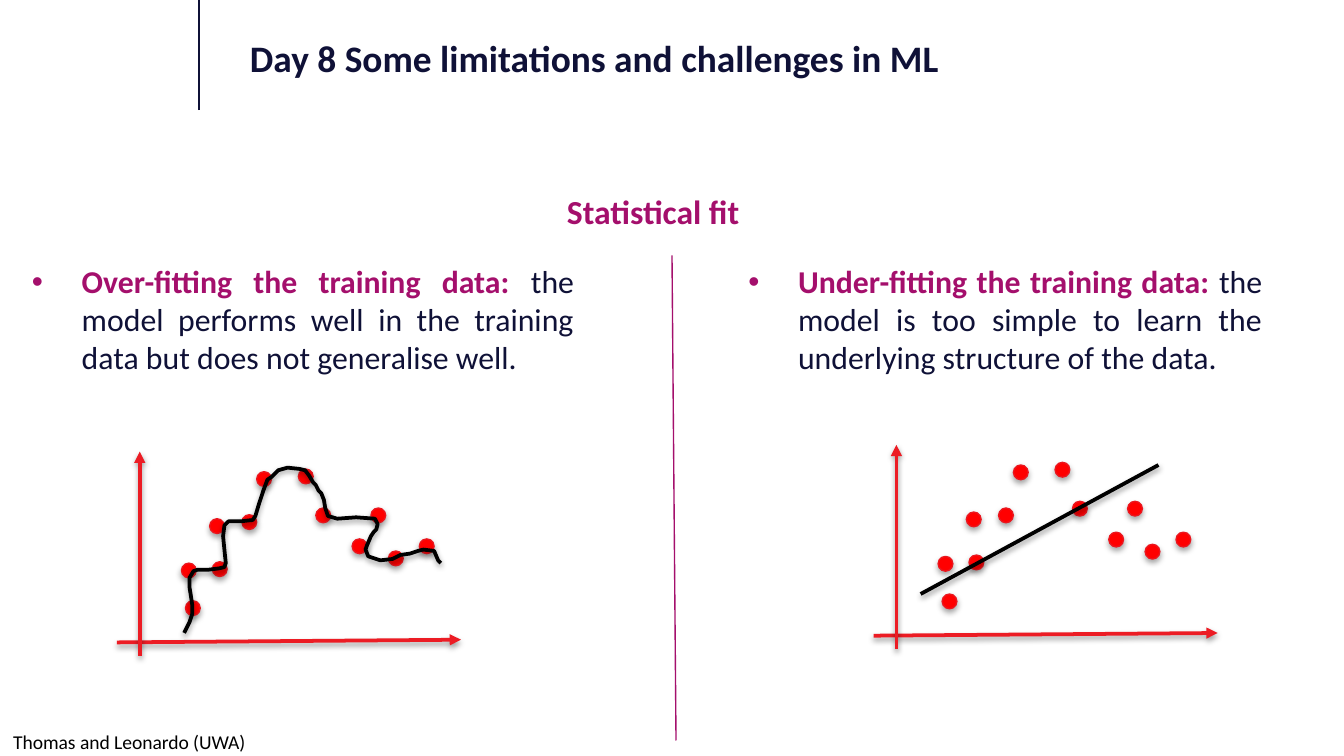
import dataclasses

import lxml.etree
import pptx
import pptx.dml.color
import pptx.enum.shapes
import pptx.enum.text
import pptx.oxml
import pptx.oxml.ns
import pptx.util

PX = 9144  # EMU in one px, at 100 px to the inch


@dataclasses.dataclass(frozen=True)
class Theme:
    font: str = "Calibri"
    navy: str = "0F1137"
    plum: str = "A40F6C"
    black: str = "000000"
    axis: str = "EC1C24"
    dot: str = "FF0000"
    dot_edge: str = "EB161E"
    title_size: float = 20
    heading_size: float = 18
    body_size: float = 17
    footer_size: float = 10.5


theme = Theme()


def write_text(shape, text, size, color, bold=False, lead="", bullet=False):
    """Fill the shape with one paragraph; lead is a bold plum opening."""
    frame = shape.text_frame
    frame.word_wrap = True
    frame.auto_size = pptx.enum.text.MSO_AUTO_SIZE.NONE
    frame.vertical_anchor = pptx.enum.text.MSO_ANCHOR.TOP
    paragraph = frame.paragraphs[0]
    paragraph.alignment = pptx.enum.text.PP_ALIGN.LEFT
    if bullet:
        paragraph.alignment = pptx.enum.text.PP_ALIGN.JUSTIFY
        properties = paragraph._p.get_or_add_pPr()
        properties.set("marL", str(38 * PX))
        properties.set("indent", str(-37 * PX))
        bullet_color = lxml.etree.SubElement(properties, pptx.oxml.ns.qn("a:buClr"))
        lxml.etree.SubElement(bullet_color, pptx.oxml.ns.qn("a:srgbClr"), val=theme.plum)
        lxml.etree.SubElement(properties, pptx.oxml.ns.qn("a:buFont"), typeface="Arial")
        lxml.etree.SubElement(properties, pptx.oxml.ns.qn("a:buChar"), char="•")
    for words, ink, weight in ((lead, theme.plum, True), (text, color, bold)):
        if words:
            run = paragraph.add_run()
            run.text = words
            run.font.name = theme.font
            run.font.size = pptx.util.Pt(size)
            run.font.bold = weight
            run.font.color.rgb = pptx.dml.color.RGBColor.from_string(ink)


def draw_outline(shape, color, width, arrow=False, shadow_distance=0, shadow_alpha=38):
    """Set line, arrowhead and shadow; a shadow_distance (pt) of 0 means no shadow."""
    shape.line.color.rgb = pptx.dml.color.RGBColor.from_string(color)
    shape.line.width = pptx.util.Pt(width)
    properties = shape._element.spPr
    if arrow:
        line = properties.find(pptx.oxml.ns.qn("a:ln"))
        lxml.etree.SubElement(line, pptx.oxml.ns.qn("a:tailEnd"), type="triangle")
    effects = lxml.etree.SubElement(properties, pptx.oxml.ns.qn("a:effectLst"))
    if shadow_distance:
        shadow = lxml.etree.SubElement(
            effects, pptx.oxml.ns.qn("a:outerShdw"), blurRad=str(pptx.util.Pt(3.1)),
            dist=str(pptx.util.Pt(shadow_distance)), dir="5400000", rotWithShape="0")
        ink = lxml.etree.SubElement(shadow, pptx.oxml.ns.qn("a:srgbClr"), val=theme.black)
        lxml.etree.SubElement(ink, pptx.oxml.ns.qn("a:alpha"), val=str(shadow_alpha * 1000))


presentation = pptx.Presentation()
presentation.slide_width = 1000 * PX
presentation.slide_height = presentation.slide_width * 9 // 16
slide = presentation.slides.add_slide(presentation.slide_layouts[5])
straight = pptx.enum.shapes.MSO_CONNECTOR.STRAIGHT

# Title with its rule
title = slide.shapes.title
title.left, title.top, title.width, title.height = (n * PX for n in (176, 21, 760, 49))
write_text(title, "Day 8 Some limitations and challenges in ML",
           size=theme.title_size, color=theme.navy, bold=True)

rules = [
    ((148, 82, 148, 0), theme.navy, 1.25),
    ((500, 190, 503, 551), theme.plum, 0.75),
]
for ends, color, width in rules:
    rule = slide.shapes.add_connector(straight, *(n * PX for n in ends))
    draw_outline(rule, color, width)

# Text boxes
texts = [
    ((0, 538, 760, 24), "Thomas and Leonardo (UWA)",
     dict(size=theme.footer_size, color=theme.black)),
    ((412, 137, 202, 35), "Statistical fit",
     dict(size=theme.heading_size, color=theme.plum, bold=True)),
    ((13, 190, 424, 141),
     "the model performs well in the training data but does not generalise well.",
     dict(size=theme.body_size, color=theme.navy, bullet=True,
          lead="Over-fitting the training data: ")),
    ((546, 190, 403, 123),
     "the model is too simple to learn the underlying structure of the data.",
     dict(size=theme.body_size, color=theme.navy, bullet=True,
          lead="Under-fitting the training data: ")),
]
for box, text, text_format in texts:
    text_box = slide.shapes.add_textbox(*(n * PX for n in box))
    write_text(text_box, text, **text_format)

# Two plots of the same data: only the fitted line differs
DOT = 11
axes = [(87, 478, 343, 476), (104, 488, 104, 336)]
dots = [
    (158, 418), (138, 447), (135, 419), (156, 386), (180, 383), (191, 351),
    (222, 349), (235, 378), (276, 378), (262, 401), (289, 410), (312, 401),
]
over_fit = [
    (137, 471), (139, 467), (141, 463), (143, 457), (143, 450), (142, 443),
    (141, 437), (141, 430), (144, 425), (147, 424), (155, 424), (163, 423),
    (167, 422), (168, 419), (167, 409), (166, 399), (167, 391), (170, 388),
    (179, 388), (188, 387), (190, 384), (193, 374), (195, 368), (196, 365),
    (199, 357), (202, 355), (207, 350), (214, 348), (223, 349), (227, 350),
    (230, 354), (233, 359), (235, 361), (237, 365), (239, 367), (241, 372),
    (242, 378), (244, 384), (251, 386), (265, 385), (279, 386), (281, 390),
    (280, 394), (278, 396), (276, 399), (273, 406), (272, 409), (274, 414),
    (280, 416), (283, 417), (292, 416), (298, 413), (305, 412), (311, 410),
    (315, 409), (323, 410), (326, 417), (328, 419),
]
under_fit = [(122, 447), (299, 351)]

for offset_x, offset_y, fit in ((0, 0, over_fit), (563, -5, under_fit)):
    plot = slide.shapes.add_group_shape()
    for x1, y1, x2, y2 in axes:
        axis = plot.shapes.add_connector(
            straight, (x1 + offset_x) * PX, (y1 + offset_y) * PX,
            (x2 + offset_x) * PX, (y2 + offset_y) * PX)
        draw_outline(axis, theme.axis, 2, arrow=True, shadow_distance=1.6)
    for x, y in dots:
        dot = plot.shapes.add_shape(
            pptx.enum.shapes.MSO_SHAPE.OVAL,
            (x + offset_x) * PX, (y + offset_y) * PX, DOT * PX, DOT * PX)
        dot.fill.solid()
        dot.fill.fore_color.rgb = pptx.dml.color.RGBColor.from_string(theme.dot)
        draw_outline(dot, theme.dot_edge, 0.75, shadow_distance=1.8, shadow_alpha=35)
    points = [((x + offset_x) * PX, (y + offset_y) * PX) for x, y in fit]
    if len(points) == 2:
        fit_line = plot.shapes.add_connector(straight, *points[0], *points[1])
    else:
        builder = plot.shapes.build_freeform(*points[0])
        builder.add_line_segments(points[1:], close=False)
        fit_line = builder.convert_to_shape()
        fit_line.fill.background()
    draw_outline(fit_line, theme.black, 2, shadow_distance=1.6)

presentation.save("out.pptx")
